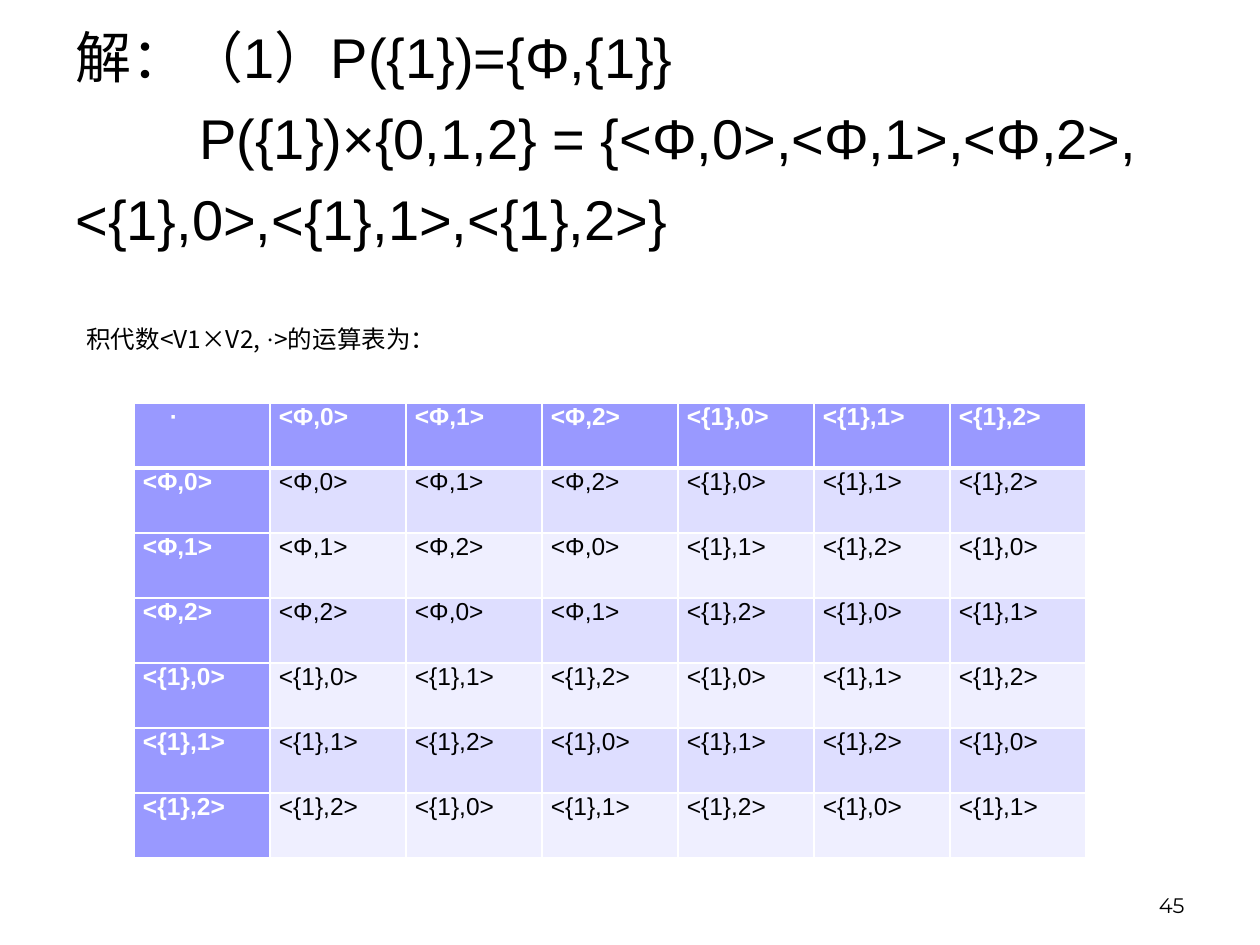
from dataclasses import dataclass
from pptx import Presentation, util as u
from pptx.dml.color import RGBColor
from pptx.enum import text
from pptx.oxml import parse_xml
from pptx.oxml.ns import nsdecls, qn

# Content
SOLUTION = [  # wording, first-line indent in px
    ("解：（1）P({1})={Φ,{1}}", 0),
    ("P({1})×{0,1,2} = {<Φ,0>,<Φ,1>,<Φ,2>,", 124),
    ("<{1},0>,<{1},1>,<{1},2>}", 0),
]
CAPTION = ["积代数<V1×V2, ", "·", ">的运算表为："]
OPERATOR = "·"
ELEMENTS = [(subset, number) for subset in ("Φ", "{1}") for number in range(3)]
PAGE_NUMBER = "45"


@dataclass(frozen=True)
class Theme:
    ink: str = "000000"
    white: str = "FFFFFF"
    header: str = "9999FF"
    bands: tuple = ("DEDEFF", "EFEFFF")
    body_font: str = "Arial"
    caption_font: str = "Noto Sans CJK SC"
    dot_font: str = "Times New Roman"
    number_font: str = "Montserrat"
    title_size: int = 32
    table_size: int = 14
    number_size: int = 12


THEME = Theme()
ALIGN = text.PP_ALIGN


def px(n):
    return u.Emu(round(n * 914400 / 126))


def style(run, font, size, color=THEME.ink, bold=False):
    run.font.name, run.font.size, run.font.bold = font, u.Pt(size), bold
    run.font.color.rgb = RGBColor.from_string(color)
    latin = run.font._element.find(qn("a:latin"))
    latin.addnext(parse_xml(f'<a:ea {nsdecls("a")} typeface="{font}"/>'))


def add_box(slide, left, top, width, height, anchor=text.MSO_ANCHOR.TOP):
    frame = slide.shapes.add_textbox(*map(px, (left, top, width, height))).text_frame
    frame.word_wrap = True
    frame.vertical_anchor = anchor
    return frame


def combine(a, b):
    """Union of the subsets, sum of the numbers modulo 3."""
    return ("{1}" if "{1}" in (a[0], b[0]) else "Φ", (a[1] + b[1]) % 3)


def label(element):
    return f"<{element[0]},{element[1]}>"


def set_borders(cell, **widths):
    for side, width in widths.items():
        cell._tc.get_or_add_tcPr().append(parse_xml(
            f'<a:ln{side} {nsdecls("a")} w="{u.Pt(width)}"><a:solidFill>'
            f'<a:srgbClr val="{THEME.white}"/></a:solidFill></a:ln{side}>'))


def fill_cell(cell, wording, row, col):
    heading = row == 0 or col == 0
    set_borders(cell, L=1, R=1, T=3 if row == 1 else 1, B=3 if row == 0 else 1)
    cell.fill.solid()
    cell.fill.fore_color.rgb = RGBColor.from_string(
        THEME.header if heading else THEME.bands[(row - 1) % 2])
    cell.margin_left = cell.margin_right = px(9)
    cell.margin_top = cell.margin_bottom = 0
    paragraph = cell.text_frame.paragraphs[0]
    paragraph.text = wording
    if not heading and wording.startswith("<{1}"):
        paragraph.alignment = ALIGN.JUSTIFY
    style(paragraph.runs[0], THEME.body_font, THEME.table_size,
          THEME.white if heading else THEME.ink, heading)
    return paragraph


def main():
    prs = Presentation()
    prs.slide_width, prs.slide_height = px(1260), px(945)
    slide = prs.slides.add_slide(prs.slide_layouts[6])

    # Solution
    solution = add_box(slide, 63, 16, 1134, 793)
    solution.text = "\n".join(wording for wording, _ in SOLUTION)
    for i, (paragraph, (_, indent)) in enumerate(zip(solution.paragraphs, SOLUTION)):
        paragraph.space_before = u.Pt(8 if i else 0)
        paragraph._p.get_or_add_pPr().set("indent", str(px(indent)))
        style(paragraph.runs[0], THEME.body_font, THEME.title_size)

    # Page number
    number = add_box(slide, 903, 861, 294, 63, text.MSO_ANCHOR.BOTTOM).paragraphs[0]
    number.text = PAGE_NUMBER
    number.alignment = ALIGN.RIGHT
    style(number.runs[0], THEME.number_font, THEME.number_size)

    # Operation table
    count = len(ELEMENTS) + 1
    table = slide.shapes.add_table(
        count, count, px(134), px(403), px(136 * count), px(65 * count)).table
    headings = [label(element) for element in ELEMENTS]
    rows = [[OPERATOR] + headings] + [
        [label(a)] + [label(combine(a, b)) for b in ELEMENTS] for a in ELEMENTS]
    for r, row in enumerate(rows):
        for c, wording in enumerate(row):
            paragraph = fill_cell(table.cell(r, c), wording, r, c)
            if wording == OPERATOR:
                paragraph._p.get_or_add_pPr().set("indent", str(px(27)))

    # Table caption
    caption = add_box(slide, 74, 324, 1186, 63)
    caption.margin_top = 0
    for wording in CAPTION:
        run = caption.paragraphs[0].add_run()
        run.text = wording
        style(run, THEME.dot_font if wording == OPERATOR else THEME.caption_font,
              THEME.table_size)

    prs.save("out.pptx")


if __name__ == "__main__":
    main()
